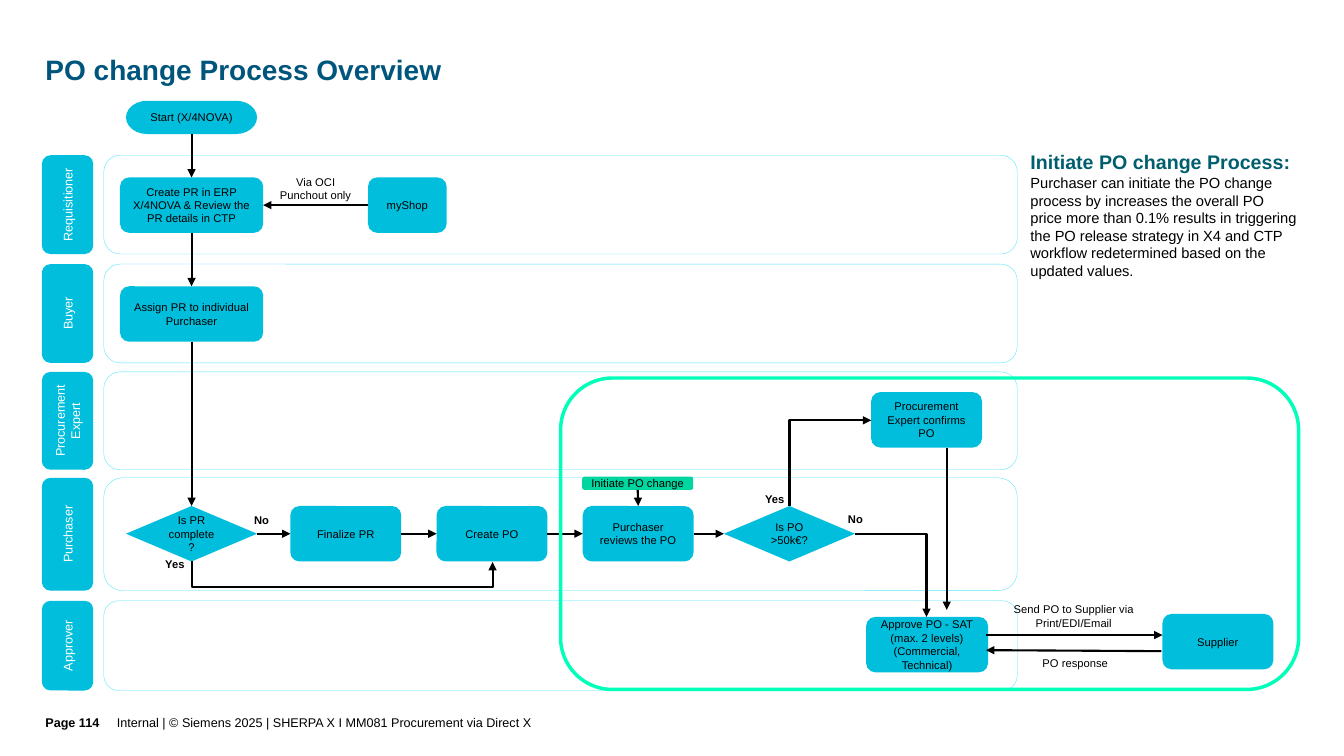
from dataclasses import dataclass

from lxml.etree import SubElement
from pptx import Presentation
from pptx.dml.color import RGBColor as RGB
from pptx.enum.shapes import MSO_CONNECTOR as CONN, MSO_SHAPE as SHAPE
from pptx.enum.text import MSO_ANCHOR as ANCHOR, MSO_AUTO_SIZE as AUTO, PP_ALIGN as ALIGN
from pptx.oxml.ns import qn
from pptx.util import Inches, Pt

TOP, LEFT, BOTTOM, RIGHT = range(4)


@dataclass(frozen=True)
class Theme:
    """Colours, type sizes and line widths of the slide."""
    font: str = "Arial"
    ink: str = "000000"
    paper: str = "FFFFFF"
    title: str = "00557C"
    heading: str = "005F6E"
    node: str = "00BEDC"
    trigger: str = "00D7A0"
    lane: str = "51E7FF"
    focus: str = "00FFB9"
    title_pt: float = 20
    heading_pt: float = 14
    body_pt: float = 10.5
    lane_pt: float = 9
    node_pt: float = 8
    lane_line: float = 0.25
    focus_line: float = 2.5
    arrow_line: float = 1.5


class FlowSlide:
    """A slide on a grid whose columns and rows are a tenth of an inch."""

    def __init__(self, prs, theme):
        self.theme = theme
        self.slide = prs.slides.add_slide(prs.slide_layouts[1])
        self.shapes = self.slide.shapes

    def grid(self, *cells):
        return [Inches(c / 10) for c in cells]

    def fill_text(self, sp, paras, inset=(0, 0, 0, 0), **frame):
        tf = sp.text_frame
        sides = ("margin_left", "margin_top", "margin_right", "margin_bottom")
        values = dict(zip(sides, self.grid(*inset)), word_wrap=True,
                      auto_size=AUTO.NONE, vertical_anchor=ANCHOR.TOP)
        for name, value in {**values, **frame}.items():
            setattr(tf, name, value)
        for i, (text, size, color, bold, align) in enumerate(paras):
            p = tf.paragraphs[0] if i == 0 else tf.add_paragraph()
            pPr = p._p.get_or_add_pPr()
            for name in ("marL", "indent"):
                pPr.set(name, "0")
            SubElement(pPr, qn("a:buNone"))
            for name, value in dict(alignment=align, space_before=Pt(0)).items():
                setattr(p, name, value)
            r = p.add_run()
            r.text = text
            for name, value in dict(name=self.theme.font, size=Pt(size), bold=bold).items():
                setattr(r.font, name, value)
            r.font.color.rgb = RGB.from_string(color)
        return sp

    def placeholder(self, idx, box, paras, **frame):
        sp = self.slide.placeholders[idx]
        for name, value in zip(("left", "top", "width", "height"), self.grid(*box)):
            setattr(sp, name, value)
        return self.fill_text(sp, paras, **frame)

    def label(self, box, text, size=None, bold=False, align=ALIGN.CENTER, **frame):
        sp = self.shapes.add_textbox(*self.grid(*box))
        size = size or self.theme.node_pt
        return self.fill_text(sp, [(text, size, self.theme.ink, bold, align)], **frame)

    def node(self, box, text, kind=SHAPE.FLOWCHART_ALTERNATE_PROCESS, fill=None,
             color=None, size=None):
        t = self.theme
        sp = self.shapes.add_shape(kind, *self.grid(*box))
        sp.shadow.inherit = False
        sp.fill.solid()
        sp.fill.fore_color.rgb = RGB.from_string(fill or t.node)
        sp.line.fill.background()
        paras = [(line, size or t.node_pt, color or t.ink, False, ALIGN.CENTER)
                 for line in text.split("\n")]
        return self.fill_text(sp, paras, inset=[0.8] * 4, vertical_anchor=ANCHOR.MIDDLE)

    def frame(self, box, color, width):
        sp = self.shapes.add_shape(SHAPE.ROUNDED_RECTANGLE, *self.grid(*box))
        sp.shadow.inherit = False
        sp.fill.background()
        sp.line.color.rgb = RGB.from_string(color)
        sp.line.width = Pt(width)

    def lane(self, top, height, text):
        t = self.theme
        box = (6.7 - height / 2, top + height / 2 - 2.55, height, 5.1)
        sp = self.node(box, text, SHAPE.ROUNDED_RECTANGLE, color=t.paper, size=t.lane_pt)
        sp.rotation = 270
        self.frame((10.3, top, 90.6, height), t.lane, t.lane_line)

    def arrow(self, x1, y1, x2, y2, kind=CONN.STRAIGHT):
        cxn = self.shapes.add_connector(kind, *self.grid(x1, y1, x2, y2))
        cxn.line.color.rgb = RGB.from_string(self.theme.ink)
        cxn.line.width = Pt(self.theme.arrow_line)
        spPr = cxn.element.spPr
        SubElement(spPr.find(qn("a:ln")), qn("a:tailEnd"), type="triangle")
        SubElement(spPr, qn("a:effectLst"))
        return cxn

    def link(self, start, start_site, end, end_site):
        cxn = self.arrow(0, 0, 1, 1)
        cxn.begin_connect(start, start_site)
        cxn.end_connect(end, end_site)

    def elbow(self, box, preset, adjust=None, **turn):
        x, y, w, h = box
        spPr = self.arrow(x, y, x + w, y + h, CONN.ELBOW).element.spPr
        for name, value in turn.items():
            spPr.find(qn("a:xfrm")).set(name, str(value))
        geom = spPr.find(qn("a:prstGeom"))
        geom.set("prst", preset)
        if adjust:
            SubElement(geom.find(qn("a:avLst")), qn("a:gd"), name="adj1", fmla=f"val {adjust}")


def main():
    prs = Presentation()
    prs.slide_width, prs.slide_height = Inches(13.33), Inches(7.5)
    t = Theme()
    s = FlowSlide(prs, t)

    s.placeholder(0, (4.5, 5.2, 107.9, 6.3),
                  [("PO change Process Overview", t.title_pt, t.title, True, ALIGN.LEFT)])
    s.placeholder(1, (102.2, 14.9, 26.7, 13), [
        ("Initiate PO change Process:", t.heading_pt, t.heading, True, ALIGN.LEFT),
        ("Purchaser can initiate the PO change process by increases the overall PO price "
         "more than 0.1% results in triggering the PO release strategy in X4 and CTP "
         "workflow redetermined based on the updated values.",
         t.body_pt, t.ink, False, ALIGN.LEFT)])

    for top, height, role in ((15.4, 9.8, "Requisitioner"), (26.2, 9.8, "Buyer"),
                              (36.9, 9.7, "Procurement Expert"),
                              (47.4, 11.2, "Purchaser"), (59.6, 8.9, "Approver")):
        s.lane(top, height, role)

    step_w, step_h, step_y = 11, 5.5, 50.2
    start = s.node((12.5, 10, 13, 3.3), "Start (X/4NOVA)", SHAPE.FLOWCHART_TERMINATOR)
    create_pr = s.node((11.9, 17.6, 14.2, step_h),
                       "Create PR in ERP X/4NOVA & Review the PR details in CTP")
    shop = s.node((36.5, 17.6, 7.8, step_h), "myShop")
    assign = s.node((11.9, 28.4, 14.2, step_h), "Assign PR to individual Purchaser")
    complete, over_limit = [
        s.node((x, step_y, 13, step_h), text, SHAPE.FLOWCHART_DECISION)
        for x, text in ((12.5, "Is PR complete?"), (71.8, "Is PO >50k€?"))]
    finalize, create_po, review = [
        s.node((28.8 + 14.5 * i, step_y, step_w, step_h), text)
        for i, text in enumerate(("Finalize PR", "Create PO", "Purchaser reviews the PO"))]
    s.node((86.4, 38.9, step_w, step_h), "Procurement Expert confirms PO")
    s.node((85.9, 61.2, 12.1, step_h),
           "Approve PO - SAT\n(max. 2 levels)\n(Commercial,\nTechnical)")
    s.node((115.3, 60.9, step_w, step_h), "Supplier")
    trigger = s.node((57.75, 47.3, step_w, 1.3), "Initiate PO change", fill=t.trigger)

    for a, b in ((start, create_pr), (create_pr, assign), (assign, complete), (trigger, review)):
        s.link(a, BOTTOM, b, TOP)
    steps = (complete, finalize, create_po, review, over_limit)
    for a, b in zip(steps, steps[1:]):
        s.link(a, RIGHT, b, LEFT)
    s.link(shop, LEFT, create_pr, RIGHT)
    for ends in ((93.9, 44.4, 93.9, 60.5), (97.8, 63, 115.3, 63), (115.2, 64.6, 97.8, 64.5)):
        s.arrow(*ends)
    s.elbow((33.9, 40.8, 0.1, 29.8), "bentConnector3", 2600000, rot=16200000, flipH=1)
    s.elbow((78.1, 41.9, 8.5, 8.1), "bentConnector2", rot=5400000, flipH=1, flipV=1)
    s.elbow((84.8, 53, 7.1, 8.2), "bentConnector2")

    for box, text, bold in (((27.4, 17.4, 7.8, 2.7), "Via OCI Punchout only", False),
                            ((99.3, 59.8, 14.4, 2.7), "Send PO to Supplier via Print/EDI/Email", False),
                            ((100.1, 65.1, 13.1, 1.3), "PO response", False),
                            ((24.6, 50.9, 2.7, 1.3), "No", True),
                            ((15.7, 55.3, 3.3, 1.3), "Yes", True),
                            ((75.2, 48.8, 3.3, 1.3), "Yes", True),
                            ((83.5, 50.8, 2.7, 1.3), "No", True)):
        s.label(box, text, bold=bold)

    s.frame((55.6, 37.5, 73.2, 30.9), t.focus, t.focus_line)

    for x, w, text, bold in ((4.5, 7.1, "Page 114", True),
                             (11.6, 100.8, "Internal | © Siemens 2025 | SHERPA X I MM081 "
                              "Procurement via Direct X", False)):
        s.label((x, 69, w, 6), text, t.lane_pt, bold, ALIGN.LEFT,
                inset=(0, 0, 0, 0.7), vertical_anchor=ANCHOR.MIDDLE)

    prs.save("out.pptx")


if __name__ == "__main__":
    main()
